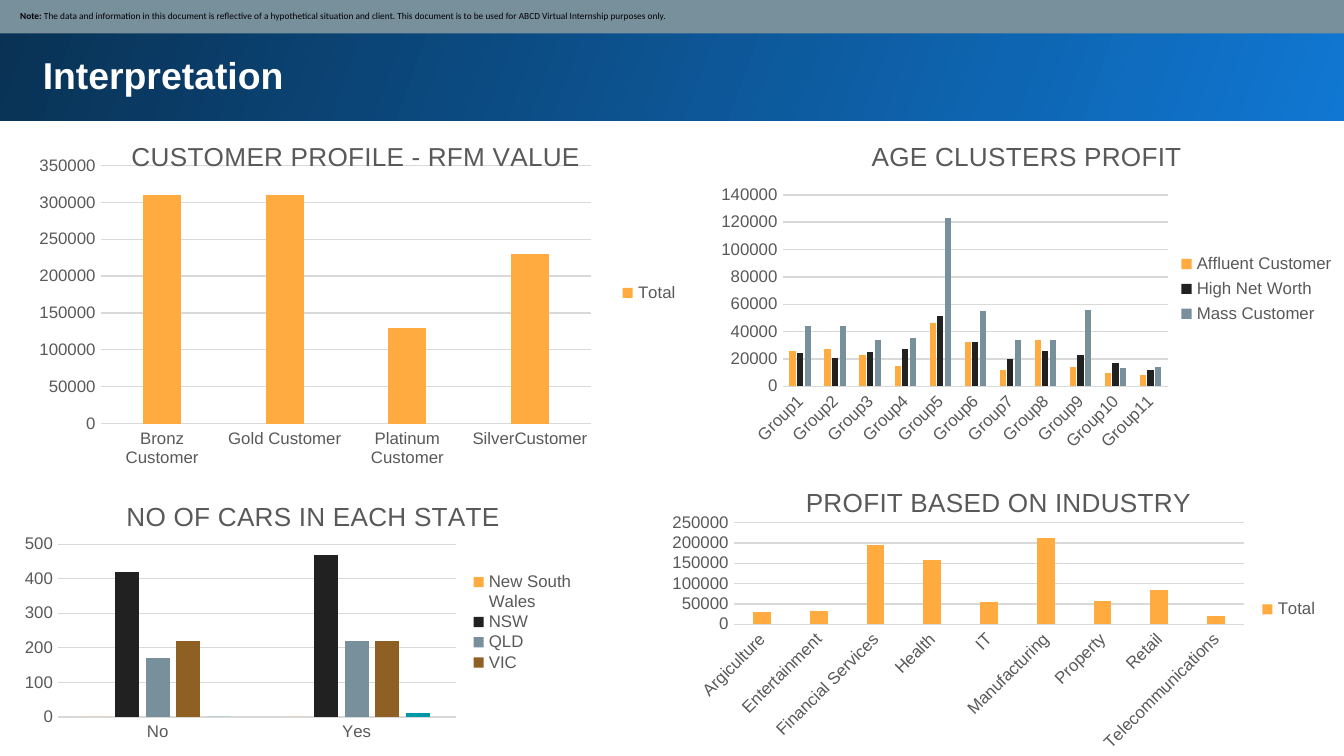
from dataclasses import dataclass

from lxml import etree
from pptx import Presentation, util as u
from pptx.chart.data import CategoryChartData
from pptx.dml.color import RGBColor
from pptx.enum import chart as charts, shapes, text
from pptx.oxml import parse_xml
from pptx.oxml.ns import nsdecls, qn


@dataclass(frozen=True)
class Theme:
    font: str = "Arial"
    note_font: str = "Calibri"
    heading_size: float = 20
    chart_title_size: float = 14
    label_size: float = 9
    note_size: float = 5
    white: str = "FFFFFF"
    black: str = "000000"
    label: str = "595959"
    grid: str = "D9D9D9"
    note_band: str = "78909C"
    banner: tuple = ("1077D2", "093153")
    series: tuple = ("FFAB40", "212121", "78909C", "8F6024", "0097A7")


theme = Theme()


def style(font, size, color, name=theme.font, bold=False):
    font.name, font.size, font.bold = name, u.Pt(size), bold
    font.color.rgb = RGBColor.from_string(color)


def place(parent, area, successors=(), inner=False):
    """Set a manual layout, in shares of the chart's size."""
    for old in parent.findall(qn("c:layout")):
        parent.remove(old)
    target = '<c:layoutTarget val="inner"/>' if inner else ""
    modes = "".join(f'<c:{key}Mode val="edge"/>' for key in "xy")
    sizes = "".join(f'<c:{key} val="{share}"/>' for key, share in zip("xywh", area))
    layout = parse_xml(f'<c:layout {nsdecls("c")}><c:manualLayout>{target}{modes}{sizes}'
                       '</c:manualLayout></c:layout>')
    parent.insert_element_before(layout, *successors) if successors else parent.insert(0, layout)


deck = Presentation()
deck.slide_width = u.Inches(10)
deck.slide_height = deck.slide_width * 9 // 16
page = deck.slides.add_slide(deck.slide_layouts[6])

# Banner
banner = page.shapes.add_shape(
    shapes.MSO_SHAPE.RECTANGLE, *map(u.Inches, (-0.02, -0.02, 10.05, 0.92)))
banner.fill.gradient()
banner.fill.gradient_angle = 160
for stop, color, position in zip(banner.fill.gradient_stops, theme.banner, (0, 1)):
    stop.color.rgb = RGBColor.from_string(color)
    stop.position = position

# Heading
box = page.shapes.add_textbox(*map(u.Inches, (0.22, 0.29, 9.37, 0.83)))
frame = box.text_frame
frame.word_wrap = True
frame.margin_left = frame.margin_right = frame.margin_top = frame.margin_bottom = u.Inches(0.1)
para = frame.paragraphs[0]
para.text = "Interpretation"
style(para.font, theme.heading_size, theme.white, bold=True)

# Note band
note = page.shapes.add_shape(
    shapes.MSO_SHAPE.RECTANGLE, *map(u.Inches, (-0.01, -0.01, 10.03, 0.26)))
for band in (banner, note):
    band.shadow.inherit = False
    band.line.fill.background()
note.fill.solid()
note.fill.fore_color.rgb = RGBColor.from_string(theme.note_band)
frame = note.text_frame
frame.margin_left = u.Inches(0.16)
frame.margin_right = frame.margin_top = frame.margin_bottom = u.Inches(0.05)
frame.vertical_anchor = text.MSO_ANCHOR.MIDDLE
para = frame.paragraphs[0]
para.alignment = text.PP_ALIGN.LEFT
for words, bold in (
    ("Note: ", True),
    ("The data and information in this document is reflective of a hypothetical situation "
     "and client. This document is to be used for ABCD Virtual Internship purposes only.", False),
):
    span = para.add_run()
    span.text = words
    style(span.font, theme.note_size, theme.black, theme.note_font, bold)

# Charts: title, title corner, area, plot shares, axis maximum and step, categories, series
panels = (
    ("CUSTOMER PROFILE - RFM VALUE", None, (0.15, 0.9, 5, 2.58), (0.12, 0.13, 0.73, 0.75),
     350000, 50000,
     ("Bronz Customer", "Gold Customer", "Platinum Customer", "SilverCustomer"),
     {"Total": (310000, 310000, 130000, 230000)}),
    ("AGE CLUSTERS PROFIT", None, (5.25, 0.9, 4.78, 2.5), (0.12, 0.22, 0.6, 0.57),
     140000, 20000,
     [f"Group{number}" for number in range(1, 12)],
     {"Affluent Customer": (26000, 27000, 23000, 15000, 46000, 32000, 12000, 34000,
                            14000, 10000, 8000),
      "High Net Worth": (24000, 21000, 25000, 27000, 51000, 32000, 20000, 26000,
                         23000, 17000, 12000),
      "Mass Customer": (44000, 44000, 34000, 35000, 123000, 55000, 34000, 34000,
                        56000, 13000, 14000)}),
    ("NO OF CARS IN EACH STATE", (0.19, 0.08), (0.09, 3.52, 4.29, 2.04),
     (0.08, 0.26, 0.69, 0.63), 500, 100,
     ("No", "Yes"),
     {"New South Wales": (0, 0), "NSW": (420, 470), "QLD": (170, 220),
      "VIC": (220, 220), "Victoria": (0, 10)}),
    ("PROFIT BASED ON INDUSTRY", (0.21, 0.07), (4.91, 3.42, 5, 2.23),
     (0.11, 0.21, 0.76, 0.34), 250000, 50000,
     ("Argiculture", "Entertainment", "Financial Services", "Health", "IT",
      "Manufacturing", "Property", "Retail", "Telecommunications"),
     {"Total": (29000, 33000, 194000, 157000, 55000, 212000, 58000, 83000, 21000)}),
)
for title, corner, area, plot_area, maximum, step, categories, series in panels:
    data = CategoryChartData()
    data.categories = categories
    for name, values in series.items():
        data.add_series(name, values)
    chart = page.shapes.add_chart(
        charts.XL_CHART_TYPE.COLUMN_CLUSTERED, *map(u.Inches, area), data).chart
    style(chart.font, theme.label_size, theme.label)

    para = chart.chart_title.text_frame.paragraphs[0]
    para.text = title
    style(para.font, theme.chart_title_size, theme.label)
    chart.chart_title.include_in_layout = False
    if corner:
        place(chart.chart_title._element, corner, ("c:overlay", "c:spPr", "c:txPr"))

    plot = chart.plots[0]
    plot.gap_width, plot.overlap, plot.vary_by_categories = 219, -27, False
    for item, color in zip(plot.series, theme.series):
        item.format.fill.solid()
        item.format.fill.fore_color.rgb = RGBColor.from_string(color)
    place(chart._chartSpace.chart.plotArea, plot_area, inner=True)

    # Axes
    value_axis = chart.value_axis
    value_axis.minimum_scale, value_axis.maximum_scale = 0, maximum
    value_axis.major_unit = step
    value_axis.format.line.fill.background()
    for axis in (chart.category_axis, value_axis):
        axis.major_tick_mark = axis.minor_tick_mark = charts.XL_TICK_MARK.NONE
        style(axis.tick_labels.font, theme.label_size, theme.label)
    for line in (chart.category_axis.format.line, value_axis.major_gridlines.format.line):
        line.width = u.Pt(0.75)
        line.color.rgb = RGBColor.from_string(theme.grid)

    # Legend; the state chart leaves out its last series
    chart.has_legend = True
    legend = chart.legend
    legend.position = charts.XL_LEGEND_POSITION.RIGHT
    legend.include_in_layout = False
    style(legend.font, theme.label_size, theme.label)
    if "Victoria" in series:
        entry = etree.Element(qn("c:legendEntry"))
        etree.SubElement(entry, qn("c:idx")).set("val", str(len(series) - 1))
        etree.SubElement(entry, qn("c:delete")).set("val", "1")
        legend._element.insert(1, entry)
        place(legend._element, (0.78, 0.36, 0.21, 0.37), ("c:overlay", "c:spPr", "c:txPr"))

deck.save("out.pptx")
